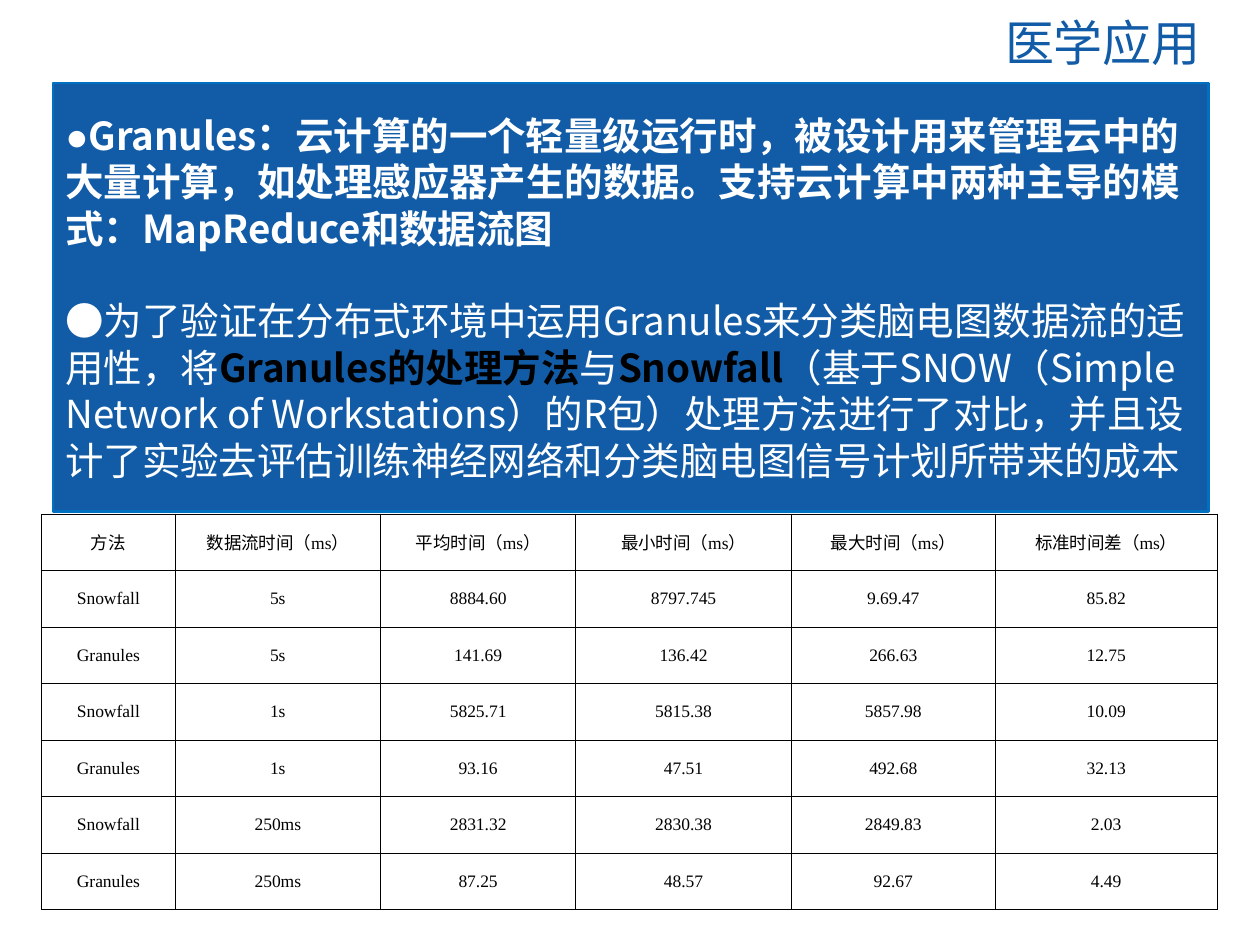
from dataclasses import dataclass

from pptx import Presentation
from pptx import util as u
from pptx.dml.color import RGBColor
from pptx.enum import shapes, text
from pptx.oxml import parse_xml
from pptx.oxml.ns import nsdecls, qn


@dataclass(frozen=True)
class Theme:
    blue: str = "125CA7"
    edge: str = "0070C0"
    white: str = "FFFFFF"
    black: str = "000000"
    title_font: str = "Cabin"
    bullet_font: str = "Arial"
    body_font: str = "Noto Sans CJK SC"
    table_font: str = "Times New Roman"
    title_size: float = 28
    body_size: float = 22
    body_pitch: float = 26.5
    table_size: float = 10
    edge_width: float = 1.5
    grid_width: float = 0.45


THEME = Theme()

# Each span: text, font, colour, bold
BULLET = ("●", THEME.bullet_font, THEME.white, True)


def plain(words):
    return words, THEME.body_font, THEME.white, False


def strong(words, color=THEME.black):
    return words, THEME.body_font, color, True


STATEMENTS = [
    [
        BULLET,
        strong("Granules：云计算的一个轻量级运行时，被设计用来管理云中的大量计算，"
               "如处理感应器产生的数据。支持云计算中两种主导的模式：MapReduce和数据流图",
               THEME.white),
    ],
    [
        BULLET,
        plain("为了验证在分布式环境中运用Granules来分类脑电图数据流的适用性，将"),
        strong("Granules的处理方法"),
        plain("与"),
        strong("Snowfall"),
        plain("（基于SNOW（Simple Network of Workstations）的R包）处理方法进行了对比，"
              "并且设计了实验去评估训练神经网络和分类脑电图信号计划所带来的成本"),
    ],
]

COLUMN_WIDTHS = [1.06, 1.63, 1.55, 1.71, 1.62, 1.76]
TIMINGS = [
    ["方法", "数据流时间（ms）", "平均时间（ms）", "最小时间（ms）", "最大时间（ms）", "标准时间差（ms）"],
    ["Snowfall", "5s", "8884.60", "8797.745", "9.69.47", "85.82"],
    ["Granules", "5s", "141.69", "136.42", "266.63", "12.75"],
    ["Snowfall", "1s", "5825.71", "5815.38", "5857.98", "10.09"],
    ["Granules", "1s", "93.16", "47.51", "492.68", "32.13"],
    ["Snowfall", "250ms", "2831.32", "2830.38", "2849.83", "2.03"],
    ["Granules", "250ms", "87.25", "48.57", "92.67", "4.49"],
]


def add_span(para, words, font, size, color, bold=False):
    """Add one run with its Latin and East Asian fonts."""
    span = para.add_run()
    span.text = words
    span.font.name = font
    span.font.size = u.Pt(size)
    span.font.bold = bold
    span.font.color.rgb = RGBColor.from_string(color)
    latin = span.font._element.find(qn("a:latin"))
    latin.addnext(parse_xml(
        f'<a:ea {nsdecls("a")} typeface="{THEME.body_font}"/>'))


def set_title(page, left, top, width, height):
    title = page.shapes.title
    title.left, title.top, title.width, title.height = left, top, width, height
    frame = title.text_frame
    frame.margin_left = frame.margin_top = frame.margin_bottom = 0
    frame.margin_right = u.Inches(0.14)
    frame.vertical_anchor = text.MSO_ANCHOR.MIDDLE
    frame.auto_size = text.MSO_AUTO_SIZE.NONE
    para = frame.paragraphs[0]
    para.alignment = text.PP_ALIGN.RIGHT
    para.line_spacing = 0.9
    add_span(para, "医学应用", THEME.title_font, THEME.title_size, THEME.blue)


def add_statement_panel(page, left, top, width, height):
    panel = page.shapes.add_shape(
        shapes.MSO_SHAPE.RECTANGLE, left, top, width, height)
    panel.shadow.inherit = False
    panel.fill.solid()
    panel.fill.fore_color.rgb = RGBColor.from_string(THEME.blue)
    panel.line.color.rgb = RGBColor.from_string(THEME.edge)
    panel.line.width = u.Pt(THEME.edge_width)
    frame = panel.text_frame
    frame.word_wrap = True
    frame.vertical_anchor = text.MSO_ANCHOR.MIDDLE
    for index, statement in enumerate(STATEMENTS):
        para = frame.add_paragraph() if index else frame.paragraphs[0]
        para.alignment = text.PP_ALIGN.LEFT
        para.line_spacing = u.Pt(THEME.body_pitch)
        if index:
            para.space_before = u.Pt(THEME.body_pitch)
        for words, font, color, bold in statement:
            add_span(para, words, font, THEME.body_size, color, bold)


def draw_borders(cell):
    properties = cell._tc.get_or_add_tcPr()
    for side in ("lnL", "lnR", "lnT", "lnB"):
        properties.append(parse_xml(
            f'<a:{side} {nsdecls("a")} w="{u.Pt(THEME.grid_width)}">'
            f'<a:solidFill><a:srgbClr val="{THEME.black}"/></a:solidFill>'
            f'</a:{side}>'))


def add_timing_table(page, left, top, width, height):
    table = page.shapes.add_table(
        len(TIMINGS), len(COLUMN_WIDTHS), left, top, width, height).table
    table.first_row = table.horz_banding = False
    for column, share in zip(table.columns, COLUMN_WIDTHS):
        column.width = int(width * share / sum(COLUMN_WIDTHS))
    for row, values in zip(table.rows, TIMINGS):
        row.height = int(height / len(TIMINGS))
        for cell, value in zip(row.cells, values):
            draw_borders(cell)
            cell.fill.background()
            cell.vertical_anchor = text.MSO_ANCHOR.MIDDLE
            para = cell.text_frame.paragraphs[0]
            para.alignment = text.PP_ALIGN.CENTER
            add_span(para, value, THEME.table_font, THEME.table_size, THEME.black)


def main():
    deck = Presentation()
    deck.slide_width, deck.slide_height = u.Inches(10), u.Inches(7.5)
    page = deck.slides.add_slide(deck.slide_layouts[5])
    # Each region: its function and its box (left, top, width, height)
    regions = [
        (set_title, (0.5, 0.08, 9.17, 0.56)),
        (add_statement_panel, (0.42, 0.66, 9.17, 3.4)),
        (add_timing_table, (0.33, 4.08, 9.33, 3.14)),
    ]
    for place, box in regions:
        place(page, *map(u.Inches, box))
    deck.save("out.pptx")


if __name__ == "__main__":
    main()
